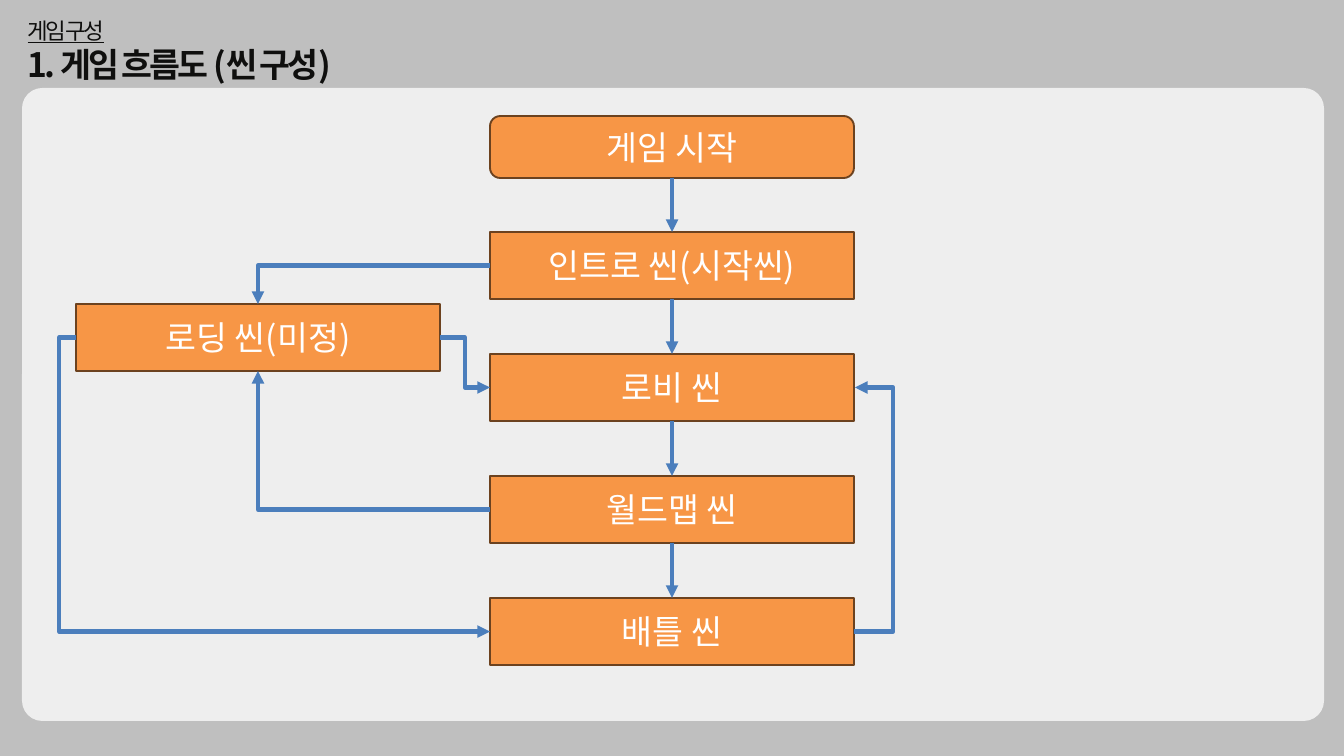
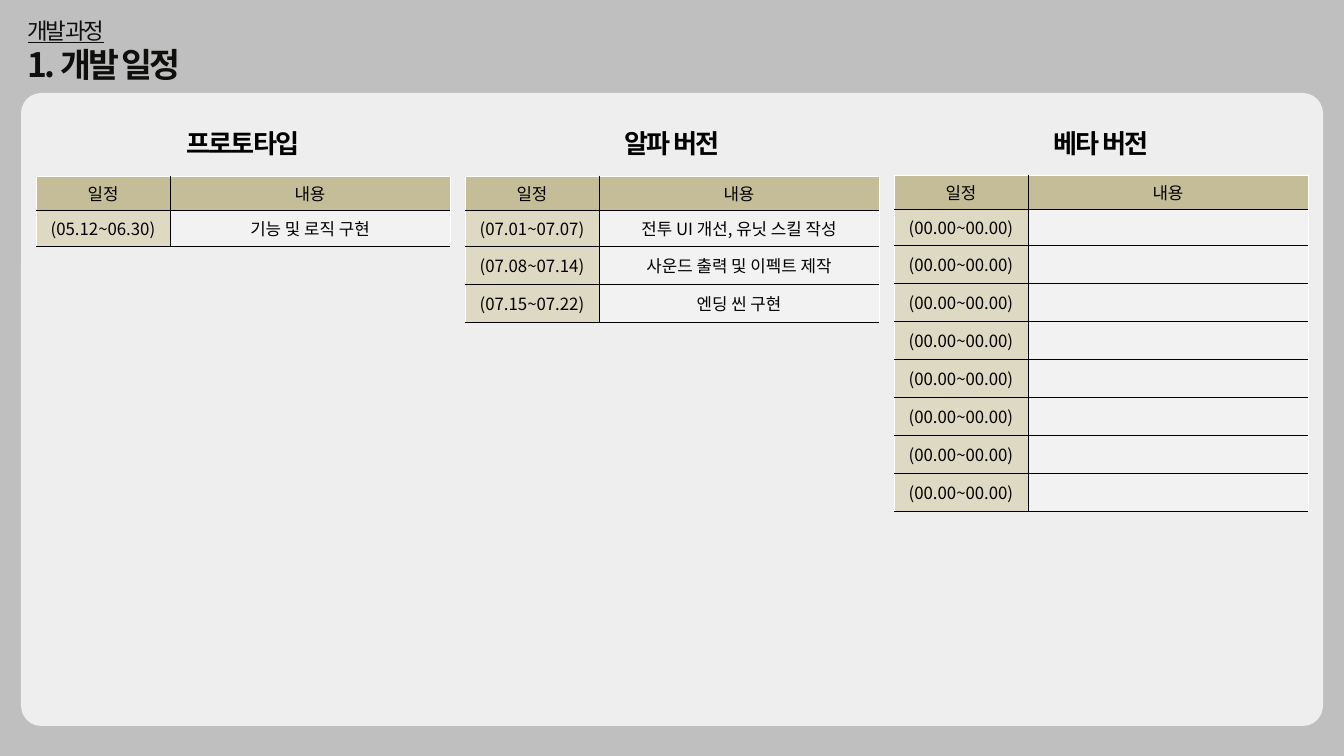
from lxml.etree import SubElement as Sub
from pptx import Presentation
from pptx.dml.color import RGBColor as RGB
from pptx.enum.shapes import MSO_CONNECTOR as LINK, MSO_SHAPE as SHAPE
from pptx.enum.text import MSO_ANCHOR as ANCHOR, MSO_AUTO_SIZE as AUTO, PP_ALIGN as ALIGN
from pptx.oxml.ns import qn
from pptx.util import Emu, Pt

FONT = "Noto Sans CJK KR"
GREY = RGB(0xBF, 0xBF, 0xBF)
PANEL = RGB(0xEE, 0xEE, 0xEE)
INK = RGB(0x0F, 0x0F, 0x0E)
BLACK = RGB(0, 0, 0)
WHITE = RGB(0xFF, 0xFF, 0xFF)
ORANGE = RGB(0xF7, 0x96, 0x46)
BROWN = RGB(0x6C, 0x42, 0x1F)
BLUE = RGB(0x4B, 0x7E, 0xBC)
KHAKI = RGB(0xC4, 0xBD, 0x97)
SAND = RGB(0xDD, 0xD9, 0xC3)
PALE = RGB(0xF2, 0xF2, 0xF2)
TOP, LEFT, BOTTOM, RIGHT = range(4)  # connection sites


def px(*sizes):
    """Turn px, at 67.2 to the inch, into EMU."""
    return [Emu(round(size * 914400 / 67.2)) for size in sizes]


def write(par, text, size, color, align=ALIGN.CENTER, bold=False, line=False, gap=0):
    """Fill a paragraph; gap is the letter spacing in points."""
    par.text = text
    par.alignment = align
    font = par.font
    font.name, font.size, font.bold, font.underline = FONT, Pt(size), bold, line
    font.color.rgb = color
    props = par._p.get_or_add_pPr().get_or_add_defRPr()
    props.set("spc", str(gap * 100))
    Sub(props, qn("a:ea"), typeface=FONT)


deck = Presentation()
deck.slide_width, deck.slide_height = px(1344, 756)
back = deck.slide_master.background.fill
back.solid()
back.fore_color.rgb = GREY

# Heading and panel of each slide
heads = [
    ("게임 구성", "1. 게임 흐름도 (씬 구성)", 22, 88),
    ("개발 과정", "1. 개발 일정", 21, 93),
]
for part, name, x, y in heads:
    slide = deck.slides.add_slide(deck.slide_layouts[5])
    title = slide.shapes.title
    title.left, title.top, title.width, title.height = px(21, 13, 421, 75)
    frame = title.text_frame
    frame.auto_size = AUTO.NONE
    frame.vertical_anchor = ANCHOR.MIDDLE
    write(frame.paragraphs[0], part, 24, INK, ALIGN.LEFT, line=True, gap=-3)
    write(frame.add_paragraph(), name, 36, INK, ALIGN.LEFT, bold=True, gap=-3)
    panel = slide.shapes.add_shape(SHAPE.ROUNDED_RECTANGLE, *px(x, y, 1302, 633))
    panel.adjustments[0] = 0.032
    panel.shadow.inherit = False
    panel.fill.solid()
    panel.fill.fore_color.rgb = PANEL
    panel.line.fill.background()

flow, plan = deck.slides

# Scene boxes
scenes = [("게임 시작", SHAPE.FLOWCHART_ALTERNATE_PROCESS, 490, 116, 62)]
names = ["인트로 씬(시작씬)", "로비 씬", "월드맵 씬", "배틀 씬"]
scenes += [(name, SHAPE.RECTANGLE, 490, 232 + 122 * i, 67) for i, name in enumerate(names)]
scenes.append(("로딩 씬(미정)", SHAPE.RECTANGLE, 76, 304, 67))
boxes = []
for name, kind, x, y, high in scenes:
    box = flow.shapes.add_shape(kind, *px(x, y, 364, high))
    box.shadow.inherit = False
    box.fill.solid()
    box.fill.fore_color.rgb = ORANGE
    box.line.color.rgb = BROWN
    box.line.width = Pt(2)
    box.text_frame.vertical_anchor = ANCHOR.MIDDLE
    write(box.text_frame.paragraphs[0], name, 36, WHITE)
    boxes.append(box)
start, intro, lobby, world, battle, load = boxes

# Arrows: from, site, to, site, preset, bend as a share of the width
chain = boxes[:5]
links = [(a, BOTTOM, b, TOP, "line", None) for a, b in zip(chain, chain[1:])]
links += [
    (battle, RIGHT, lobby, RIGHT, "bentConnector3", 39),
    (intro, LEFT, load, TOP, "bentConnector2", None),
    (world, LEFT, load, BOTTOM, "bentConnector2", None),
    (load, RIGHT, lobby, LEFT, "bentConnector3", 0.5),
    (load, LEFT, battle, LEFT, "bentConnector3", -0.041),
]
for a, out, b, into, kind, bend in links:
    form = LINK.STRAIGHT if kind == "line" else LINK.ELBOW
    arrow = flow.shapes.add_connector(form, 0, 0, 0, 0)
    arrow.begin_connect(a, out)
    arrow.end_connect(b, into)
    if out == into == RIGHT:
        arrow.end_x += px(1)[0]  # the bend needs some width to scale
    arrow.line.color.rgb = BLUE
    arrow.line.width = Pt(4.5)
    props = arrow._element.spPr
    Sub(props.find(qn("a:ln")), qn("a:tailEnd"), type="triangle")
    Sub(props, qn("a:effectLst"))
    shape = props.find(qn("a:prstGeom"))
    shape.set("prst", kind)
    if bend is not None:
        guide = f"val {round(bend * 100000)}"
        Sub(shape.get_or_add_avLst(), qn("a:gd"), name="adj1", fmla=guide)

# Schedule tables
phases = [
    ("프로토타입", 136, 176, [("(05.12~06.30)", "기능 및 로직 구현")]),
    ("알파 버전", 119, 176, [
        ("(07.01~07.07)", "전투 UI 개선, 유닛 스킬 작성"),
        ("(07.08~07.14)", "사운드 출력 및 이펙트 제작"),
        ("(07.15~07.22)", "엔딩 씬 구현"),
    ]),
    ("베타 버전", 119, 175, [("(00.00~00.00)", "")] * 8),
]
for i, (name, wide, y, tasks) in enumerate(phases):
    x = 36 + 429 * i
    label = plan.shapes.add_textbox(*px(x + 207 - wide / 2, 108, wide, 54))
    label.text_frame.word_wrap = False
    label.text_frame.auto_size = AUTO.SHAPE_TO_FIT_TEXT
    par = label.text_frame.paragraphs[0]
    write(par, name, 28, BLACK, bold=True, gap=-2)
    par.line_spacing = 1.5

    rows = [("일정", "내용")] + tasks
    highs = [34, 36] + [38] * (len(rows) - 2)
    grid = plan.shapes.add_table(len(rows), 2, *px(x, y, 414, sum(highs))).table
    grid.first_row = grid.horz_banding = False
    for col, size in zip(grid.columns, px(134, 280)):
        col.width = size
    for r, texts in enumerate(rows):
        grid.rows[r].height = px(highs[r])[0]
        for c, text in enumerate(texts):
            cell = grid.cell(r, c)
            cell.vertical_anchor = ANCHOR.MIDDLE
            write(cell.text_frame.paragraphs[0], text, 18, BLACK)
            props = cell._tc.get_or_add_tcPr()
            outer = {"L": c == 0, "R": c == 1, "T": r == 0, "B": False}
            for side, edge in outer.items():
                rule = Sub(props, qn(f"a:ln{side}"), w=str(Pt(1)))
                fill = Sub(rule, qn("a:solidFill"))
                Sub(fill, qn("a:srgbClr"), val=str(WHITE if edge else BLACK))
            cell.fill.solid()
            cell.fill.fore_color.rgb = KHAKI if r == 0 else (SAND, PALE)[c]

deck.save("out.pptx")
